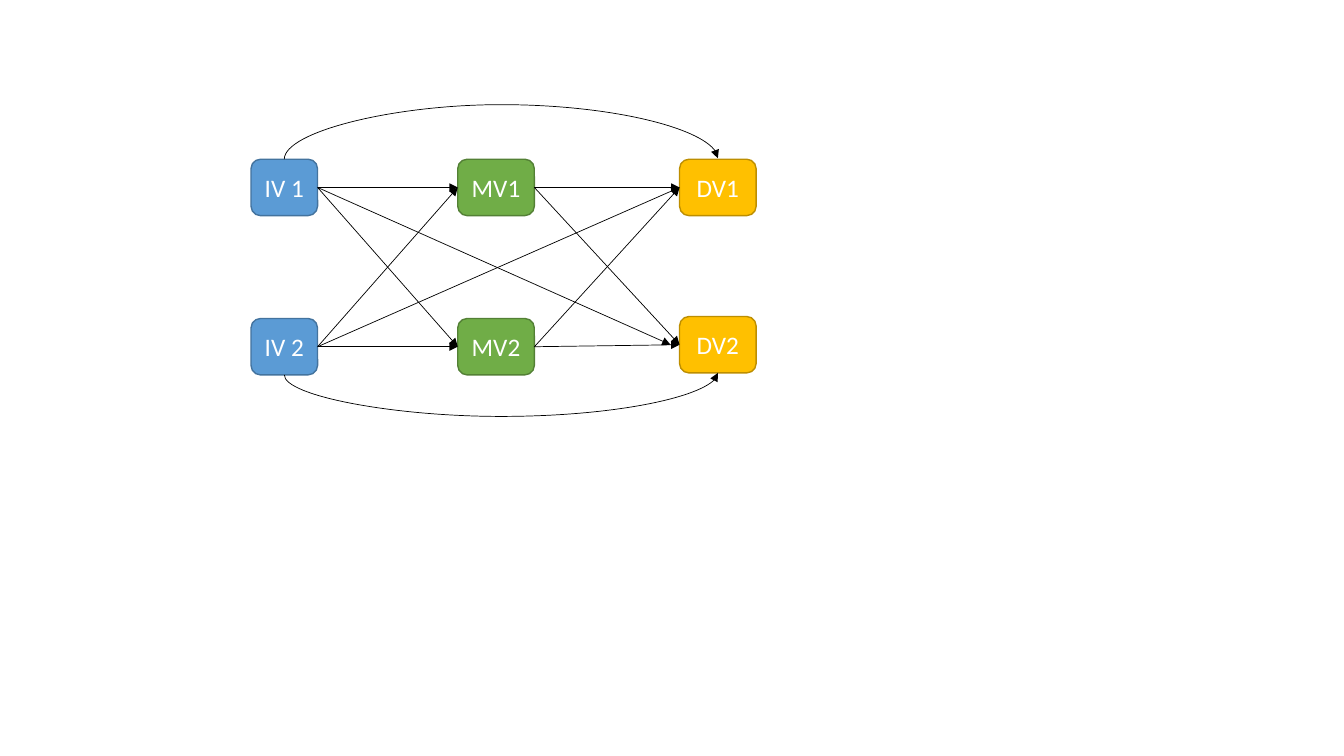
import dataclasses
import itertools

import pptx
import pptx.dml.color
import pptx.enum.shapes
import pptx.enum.text
import pptx.oxml
import pptx.oxml.ns
import pptx.util
import lxml.etree

Inches = pptx.util.Inches
LEFT_SITE, RIGHT_SITE = 1, 3


@dataclasses.dataclass(frozen=True)
class Theme:
    """Colours, font and sizes of the slide."""
    font: str = "Calibri"
    text_size: float = 18
    text: str = "FFFFFF"
    arrow: str = "000000"
    arrow_width: float = 0.5
    border_width: float = 1
    independent: tuple = ("5B9BD5", "43739E")
    mediator: tuple = ("70AD47", "538035")
    dependent: tuple = ("FFC000", "BD8E00")


class Diagram:
    """Draws path-model elements on one slide in one style."""

    def __init__(self, page, theme):
        """Keep the slide and the theme."""
        self.page = page
        self.theme = theme

    def color(self, value):
        """Turn a hex string into a colour."""
        return pptx.dml.color.RGBColor.from_string(value)

    def variable(self, label, left, top, width, colors):
        """Add a rounded box that names a variable."""
        box = self.page.shapes.add_shape(
            pptx.enum.shapes.MSO_SHAPE.ROUNDED_RECTANGLE,
            Inches(left), Inches(top), Inches(width), Inches(0.56))
        box.shadow.inherit = False
        fill, border = colors
        box.fill.solid()
        box.fill.fore_color.rgb = self.color(fill)
        box.line.color.rgb = self.color(border)
        box.line.width = pptx.util.Pt(self.theme.border_width)
        frame = box.text_frame
        frame.text = label
        frame.word_wrap = False
        frame.margin_left = frame.margin_right = 0
        frame.vertical_anchor = pptx.enum.text.MSO_ANCHOR.MIDDLE
        para = frame.paragraphs[0]
        para.alignment = pptx.enum.text.PP_ALIGN.CENTER
        font = para.runs[0].font
        font.name = self.theme.font
        font.size = pptx.util.Pt(self.theme.text_size)
        font.color.rgb = self.color(self.theme.text)
        return box

    def connector(self, kind, begin_x, begin_y, end_x, end_y):
        """Add a thin connector with a triangle at its end."""
        arrow = self.page.shapes.add_connector(kind, begin_x, begin_y, end_x, end_y)
        arrow.line.color.rgb = self.color(self.theme.arrow)
        arrow.line.width = pptx.util.Pt(self.theme.arrow_width)
        properties = arrow._element.spPr
        line = properties.find(pptx.oxml.ns.qn("a:ln"))
        lxml.etree.SubElement(line, pptx.oxml.ns.qn("a:tailEnd"), type="triangle")
        lxml.etree.SubElement(properties, pptx.oxml.ns.qn("a:effectLst"))
        return arrow

    def straight(self, source, target, gap=0):
        """Join two boxes side to side, stopping short by gap inches."""
        arrow = self.connector(
            pptx.enum.shapes.MSO_CONNECTOR.STRAIGHT,
            source.left + source.width, source.top + source.height // 2,
            target.left - Inches(gap), target.top + target.height // 2)
        arrow.begin_connect(source, RIGHT_SITE)
        if not gap:
            arrow.end_connect(target, LEFT_SITE)

    def curve(self, source, target, begin_y, rise, bow):
        """Arch from source to target; a positive bow goes up, in inches."""
        begin_x = source.left + source.width // 2
        end_x = target.left + target.width // 2
        half_span = (end_x - begin_x) // 2
        half_rise = Inches(rise) // 2
        center_x = begin_x + half_span
        center_y = begin_y - half_rise
        # Laid out upright, then turned a quarter so that it runs left to right.
        arrow = self.connector(
            pptx.enum.shapes.MSO_CONNECTOR.CURVE,
            center_x + half_rise, center_y + half_span,
            center_x - half_rise, center_y - half_span)
        properties = arrow._element.spPr
        properties.find(pptx.oxml.ns.qn("a:xfrm")).set("rot", str(90 * 60000))
        geometry = properties.find(pptx.oxml.ns.qn("a:prstGeom"))
        adjustments = geometry.find(pptx.oxml.ns.qn("a:avLst"))
        if adjustments is None:
            adjustments = lxml.etree.SubElement(geometry, pptx.oxml.ns.qn("a:avLst"))
        lxml.etree.SubElement(
            adjustments, pptx.oxml.ns.qn("a:gd"),
            name="adj1", fmla=f"val {round(bow / rise * 100000)}")


def build():
    """Build the path model and save the deck."""
    deck = pptx.Presentation()
    deck.slide_width, deck.slide_height = Inches(13.33), Inches(7.5)
    page = deck.slides.add_slide(deck.slide_layouts[6])
    theme = Theme()
    diagram = Diagram(page, theme)

    columns = [
        (("IV 1", "IV 2"), 2.49, 0.66, 3.16, theme.independent),
        (("MV1", "MV2"), 4.54, 0.76, 3.16, theme.mediator),
        (("DV1", "DV2"), 6.74, 0.76, 3.14, theme.dependent),
    ]
    independents, mediators, dependents = [
        [diagram.variable(label, left, top, width, colors)
         for label, top in zip(labels, (1.58, lower_top))]
        for labels, left, width, lower_top, colors in columns]

    for sources, targets in ((independents, mediators), (mediators, dependents)):
        for source, target in itertools.product(sources, targets):
            diagram.straight(source, target)

    upper, lower = independents
    diagram.curve(upper, dependents[0], upper.top, 0.01, 0.55)
    diagram.curve(lower, dependents[1], lower.top + lower.height, 0.02, -0.41)
    diagram.straight(upper, dependents[1], gap=0.09)
    diagram.straight(lower, dependents[0])
    deck.save("out.pptx")


build()
